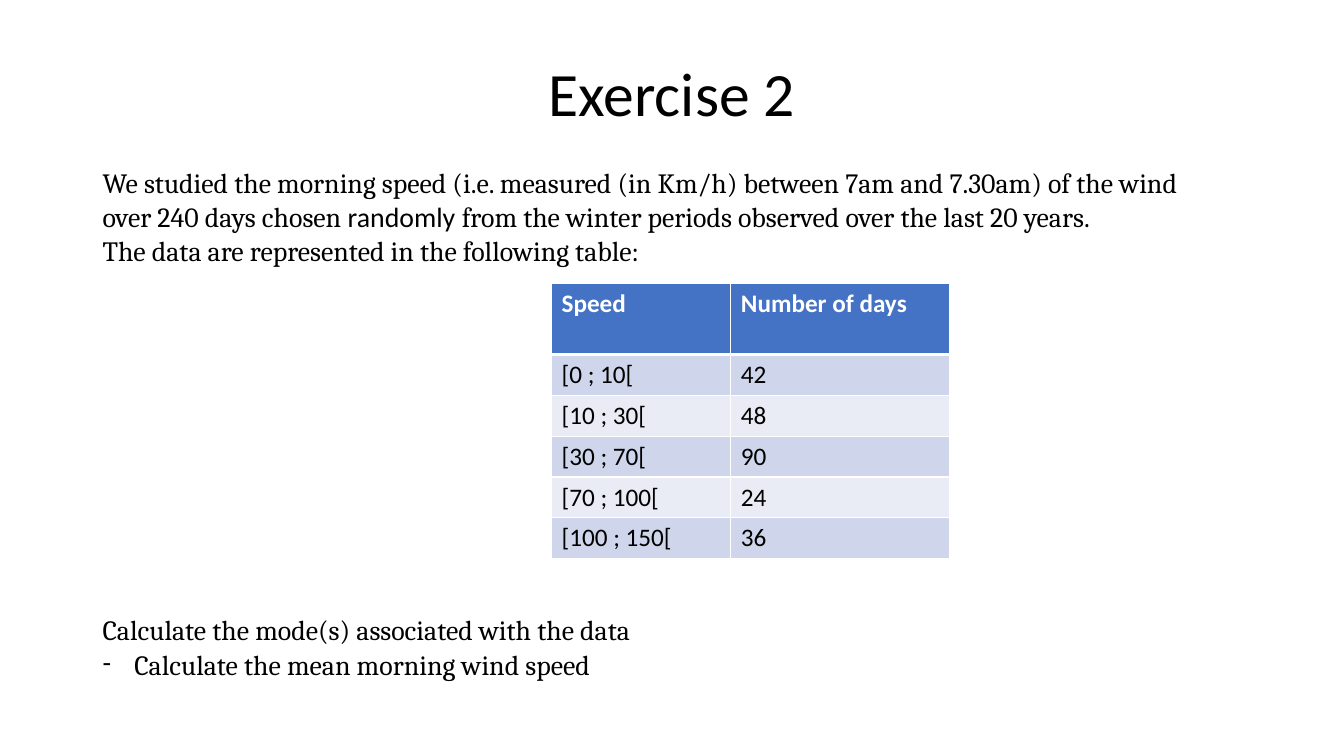
from lxml import etree
from pptx import Presentation
from pptx.dml.color import RGBColor
from pptx.enum.text import MSO_ANCHOR, MSO_AUTO_SIZE, PP_ALIGN
from pptx.oxml.ns import qn
from pptx.util import Cm, Pt

CENTER = PP_ALIGN.CENTER
MIDDLE = MSO_ANCHOR.MIDDLE
FIXED = MSO_AUTO_SIZE.NONE

SANS, SERIF = "Calibri", "Cambria"
BLACK, WHITE, BLUE = "000000", "FFFFFF", "4472C4"
BANDS = ["CFD5EA", "E9EBF5"]

TITLE = "Exercise 2"
# Each line: space before in points, bullet, runs of (text, font)
LINES = [
    (0, None, [("We studied the morning speed (i.e. measured (in Km/h) "
                "between 7am and 7.30am) of the wind", SERIF)]),
    (7.8, None, [("over 240 days chosen ", SERIF), ("randomly ", SANS),
                 ("from the winter periods observed over the last 20 years.",
                  SERIF)]),
    (7.8, None, [("The data are represented in the following table:", SERIF)]),
    (254, None, [("Calculate the mode(s) associated with the data", SERIF)]),
    (7.8, "-", [("Calculate the mean morning wind speed", SERIF)]),
]
ROWS = [
    ("Speed", "Number of days"),
    ("[0 ; 10[", "42"),
    ("[10 ; 30[", "48"),
    ("[30 ; 70[", "90"),
    ("[70 ; 100[", "24"),
    ("[100 ; 150[", "36"),
]
COLS = [Cm(4.52), Cm(5.51)]
HEAD, ROW = Cm(1.79), Cm(1.03)
INDENT = Cm(0.8)


def color(code):
    return RGBColor.from_string(code)


def add_run(para, text, font, size, code, bold=False):
    run = para.add_run()
    run.text = text
    run.font.name = font
    run.font.size = Pt(size)
    run.font.bold = bold
    run.font.color.rgb = color(code)


def place(shape, left, top, width, height):
    shape.left, shape.top = Cm(left), Cm(top)
    shape.width, shape.height = Cm(width), Cm(height)


def set_mark(para, mark):
    """Give a paragraph a hanging bullet, or none."""
    props = para._p.get_or_add_pPr()
    gap = INDENT if mark else 0
    props.set("marL", str(gap))
    props.set("indent", str(-gap))
    if mark:
        etree.SubElement(props, qn("a:buFont"), typeface=SANS)
        etree.SubElement(props, qn("a:buChar"), char=mark)
    else:
        etree.SubElement(props, qn("a:buNone"))


def set_edges(cell, top, bottom):
    """Draw white cell borders; top and bottom are widths in points."""
    props = cell._tc.get_or_add_tcPr()
    edges = [("L", 1), ("R", 1), ("T", top), ("B", bottom)]
    for spot, (side, width) in enumerate(edges):
        line = etree.Element(qn("a:ln" + side), w=str(Pt(width)))
        fill = etree.SubElement(line, qn("a:solidFill"))
        etree.SubElement(fill, qn("a:srgbClr"), val=WHITE)
        props.insert(spot, line)


def add_title(slide):
    title = slide.shapes.title
    place(title, 2.33, 0.59, 29.21, 3.68)
    frame = title.text_frame
    frame.auto_size = FIXED
    frame.vertical_anchor = MIDDLE
    para = frame.paragraphs[0]
    para.alignment = CENTER
    para.line_spacing = 0.9
    add_run(para, TITLE, SANS, 44, BLACK)


def add_body(slide):
    body = slide.placeholders[1]
    place(body, 2.33, 4.27, 29.21, 13.46)
    frame = body.text_frame
    frame.auto_size = FIXED
    frame.word_wrap = True
    for pos, (gap, mark, runs) in enumerate(LINES):
        para = frame.add_paragraph() if pos else frame.paragraphs[0]
        set_mark(para, mark)
        para.line_spacing = 0.7
        para.space_before = Pt(gap)
        for text, font in runs:
            add_run(para, text, font, 19.9, BLACK)


def add_data(slide):
    high = HEAD + ROW * (len(ROWS) - 1)
    table = slide.shapes.add_table(len(ROWS), len(COLS), Cm(13.9), Cm(7.14),
                                   sum(COLS), high).table
    for col, width in zip(table.columns, COLS):
        col.width = width
    for pos, row in enumerate(ROWS):
        head = pos == 0
        table.rows[pos].height = HEAD if head else ROW
        for col, text in enumerate(row):
            cell = table.cell(pos, col)
            cell.fill.solid()
            cell.fill.fore_color.rgb = color(
                BLUE if head else BANDS[(pos - 1) % 2])
            set_edges(cell, 3 if pos == 1 else 1, 3 if head else 1)
            add_run(cell.text_frame.paragraphs[0], text, SANS, 18,
                    WHITE if head else BLACK, head)


def main():
    deck = Presentation()
    deck.slide_width, deck.slide_height = Cm(33.87), Cm(19.05)
    slide = deck.slides.add_slide(deck.slide_layouts[1])
    add_title(slide)
    add_body(slide)
    add_data(slide)
    deck.save("out.pptx")


if __name__ == "__main__":
    main()
